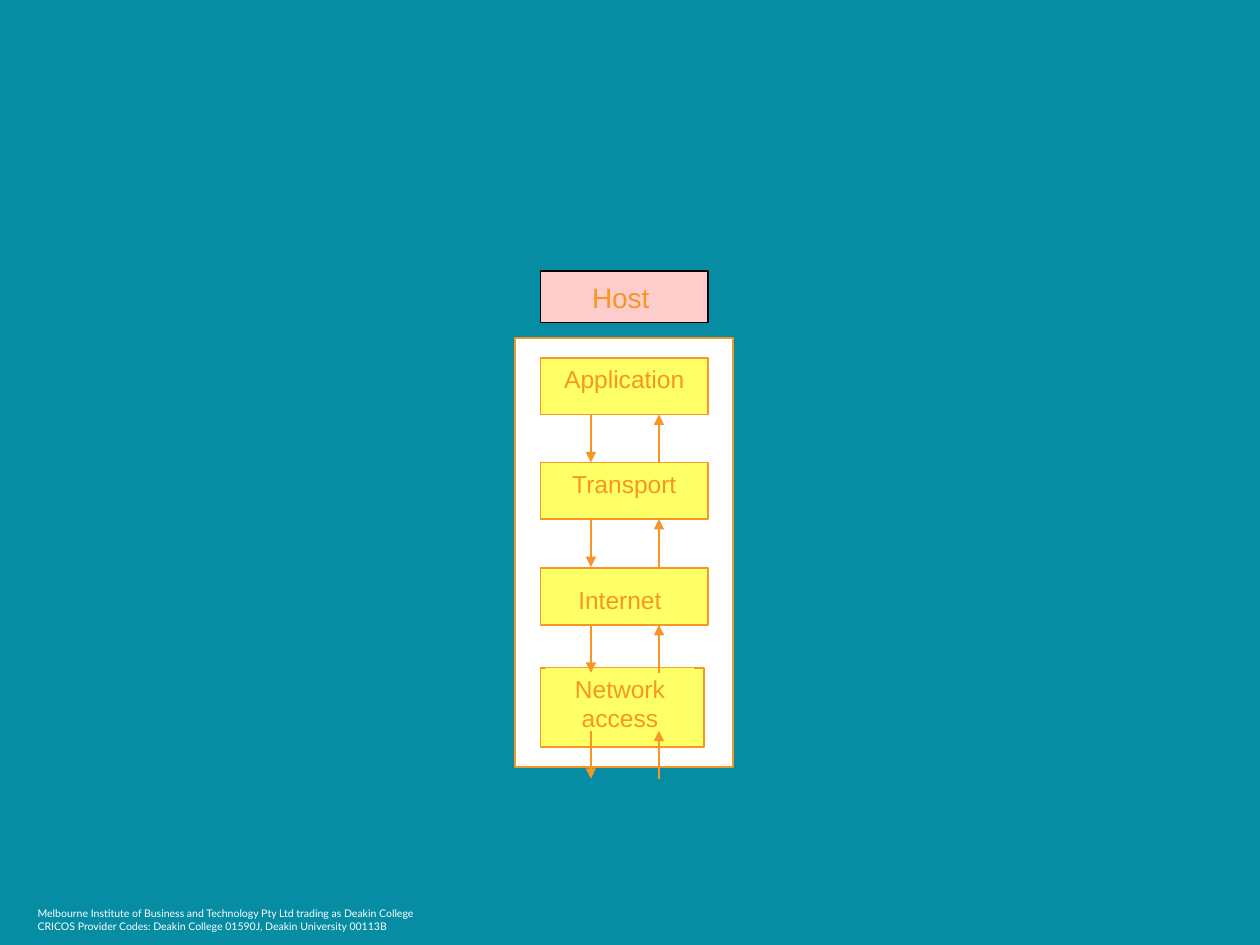
from lxml import etree
from pptx import Presentation
from pptx import util as u
from pptx.dml.color import RGBColor
from pptx.enum import shapes, text
from pptx.oxml.ns import qn

PX = u.Inches(1) // 100
COLORS = {
    "background": "068DA4",
    "accent": "F79625",
    "layer": "FFFF66",
    "host": "FFCCCC",
    "panel": "FFFFFF",
    "footer": "FFFFFF",
    "border": "000000",
}
LAYER_TOPS = [16, 99, 183]
LAYER_HEIGHT = 45


def color(name):
    return RGBColor.from_string(COLORS[name])


def add_run(paragraph, words, size, font="Arial", ink="accent"):
    run = paragraph.add_run()
    run.text = words
    run.font.size = u.Pt(size)
    run.font.name = font
    run.font.color.rgb = color(ink)


def write(shape, words, size=14, font="Arial", ink="accent", align=text.PP_ALIGN.CENTER):
    frame = shape.text_frame
    frame.word_wrap = True
    frame.vertical_anchor = text.MSO_ANCHOR.TOP
    for index, line in enumerate(words.split("\n")):
        paragraph = frame.paragraphs[0] if index == 0 else frame.add_paragraph()
        paragraph.alignment = align
        add_run(paragraph, line, size, font, ink)
    return frame


def add_label(slide, box, words, **style):
    label = slide.shapes.add_textbox(*(PX * side for side in box))
    return write(label, words, **style)


def add_box(slide, box, fill, line="accent"):
    rect = slide.shapes.add_shape(
        shapes.MSO_SHAPE.RECTANGLE, *(PX * side for side in box))
    rect.shadow.inherit = False
    rect.fill.solid()
    rect.fill.fore_color.rgb = color(fill)
    if line:
        rect.line.color.rgb = color(line)
        rect.line.width = u.Pt(1)
    else:
        rect.line.fill.background()
    return rect


def add_arrow(slide, x, start, end):
    arrow = slide.shapes.add_connector(
        shapes.MSO_CONNECTOR.STRAIGHT, PX * x, PX * start, PX * x, PX * end)
    arrow.line.color.rgb = color("accent")
    arrow.line.width = u.Pt(1)
    properties = arrow._element.spPr
    etree.SubElement(properties.find(qn("a:ln")), qn("a:tailEnd"), type="triangle")
    etree.SubElement(properties, qn("a:effectLst"))


def add_host(slide, box):
    host = add_box(slide, box, "host", "border")
    frame = write(host, "Host", size=16)
    add_run(frame.paragraphs[0], " ", 18, "Cabin")


def add_stack(slide, box):
    left, top, width, height = box
    add_box(slide, box, "panel")
    for layer_top in LAYER_TOPS:
        add_box(slide, (left + 20, top + layer_top, 133, LAYER_HEIGHT), "layer")
    add_box(slide, (left + 20, top + 262, 130, 63), "layer")

    for name, name_top, name_height in [("Network access", 262, 57), ("Internet", 191, 33)]:
        cover = add_box(slide, (left + 24, top + name_top, 118, name_height), "layer", None)
        write(cover, name)
    for name, name_top in zip(["Application", "Transport"], LAYER_TOPS):
        add_label(slide, (left + 20, top + name_top, 133, 33), name)

    gap_tops = [layer_top + LAYER_HEIGHT for layer_top in LAYER_TOPS] + [312]
    for gap_top in gap_tops:
        start, end = top + gap_top, top + gap_top + 38
        add_arrow(slide, left + 60, start, end)
        add_arrow(slide, left + 114, end, start)


def add_footer(slide, box):
    add_label(
        slide, box,
        "Melbourne Institute of Business and Technology Pty Ltd trading as Deakin College\n"
        "CRICOS Provider Codes: Deakin College 01590J, Deakin University 00113B",
        size=6, font="Lato", ink="footer", align=text.PP_ALIGN.LEFT)


def main():
    deck = Presentation()
    deck.slide_width, deck.slide_height = PX * 1000, PX * 750
    slide = deck.slides.add_slide(deck.slide_layouts[6])
    slide.background.fill.solid()
    slide.background.fill.fore_color.rgb = color("background")
    add_footer(slide, (20, 715, 551, 30))
    add_stack(slide, (409, 268, 173, 341))
    add_host(slide, (429, 215, 133, 41))
    deck.save("out.pptx")


if __name__ == "__main__":
    main()
